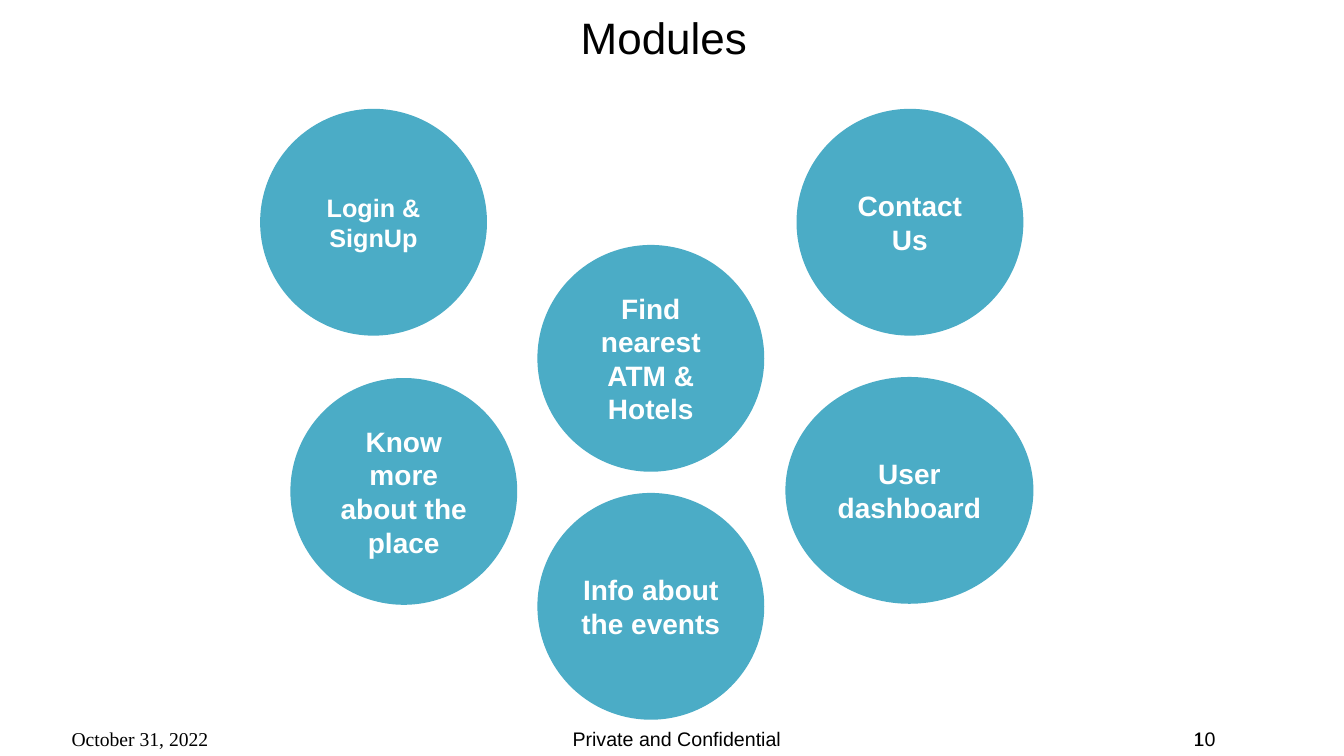
from dataclasses import dataclass

from pptx import Presentation
from pptx.dml.color import RGBColor
from pptx.enum.shapes import MSO_SHAPE
from pptx.enum.text import MSO_ANCHOR, PP_ALIGN
from pptx.slide import Slide
from pptx.text.text import TextFrame
from pptx.util import Inches, Pt

COLORS = {"module": "4BACC6", "module_text": "FFFFFF", "text": "000000"}
SANS, SERIF = "Arial", "Times New Roman"
DIAMETER = 2.25
CENTER_LEFT = 5.33
TOP_ROW = 1.08
FOOTER_TOP = 7.16
NUMBER_LEFT = 11.74


@dataclass
class Module:
    label: str
    left: float
    top: float
    width: float = DIAMETER
    size: float = 20


@dataclass
class Label:
    text: str
    left: float
    top: float
    width: float
    height: float = 0.34
    size: float = 14
    font: str = SANS
    align: PP_ALIGN = PP_ALIGN.LEFT
    anchor: MSO_ANCHOR = MSO_ANCHOR.TOP
    side_inset: float = 0.1


MODULES = [
    Module("Find nearest ATM & Hotels", CENTER_LEFT, 2.43),
    Module("Contact Us", 7.9, TOP_ROW),
    Module("User dashboard", 7.79, 3.74, width=2.46),
    Module("Know more about the place", 2.88, 3.75),
    Module("Info about the events", CENTER_LEFT, 4.89),
    Module("Login & SignUp", 2.58, TOP_ROW, size=18),
]

LABELS = [
    Label("Private and Confidential", 5.58, FOOTER_TOP, 2.72),
    Label("10", NUMBER_LEFT, FOOTER_TOP, 0.51),
    Label("10", NUMBER_LEFT, FOOTER_TOP, 0.22, height=0.32, font=SERIF),
    Label("Modules", 0.92, 0.08, 11.33, height=0.58, size=31.4,
          align=PP_ALIGN.CENTER, anchor=MSO_ANCHOR.MIDDLE),
    Label("October 31, 2022", 0.66, FOOTER_TOP, 2.23, font=SERIF, side_inset=0.05),
]


def write_text(frame: TextFrame, text: str, size: float, font: str, color: str,
               align: PP_ALIGN, anchor: MSO_ANCHOR, bold: bool = False) -> None:
    frame.text = text
    frame.word_wrap = True
    frame.vertical_anchor = anchor
    para = frame.paragraphs[0]
    para.alignment = align
    span = para.runs[0]
    span.font.name = font
    span.font.size = Pt(size)
    span.font.bold = bold
    span.font.color.rgb = RGBColor.from_string(COLORS[color])


def add_label(page: Slide, label: Label) -> None:
    box = page.shapes.add_textbox(Inches(label.left), Inches(label.top),
                                  Inches(label.width), Inches(label.height))
    frame = box.text_frame
    frame.margin_left = frame.margin_right = Inches(label.side_inset)
    write_text(frame, label.text, label.size, label.font, "text",
               label.align, label.anchor)


def add_module(page: Slide, module: Module) -> None:
    circle = page.shapes.add_shape(MSO_SHAPE.OVAL, Inches(module.left), Inches(module.top),
                                   Inches(module.width), Inches(DIAMETER))
    circle.shadow.inherit = False
    circle.fill.solid()
    circle.fill.fore_color.rgb = RGBColor.from_string(COLORS["module"])
    circle.line.fill.background()
    write_text(circle.text_frame, module.label, module.size, SANS, "module_text",
               PP_ALIGN.CENTER, MSO_ANCHOR.MIDDLE, bold=True)


def main() -> None:
    deck = Presentation()
    deck.slide_width, deck.slide_height = Inches(13.33), Inches(7.5)
    page = deck.slides.add_slide(deck.slide_layouts[6])
    for label in LABELS:
        add_label(page, label)
    for module in MODULES:
        add_module(page, module)
    deck.save("out.pptx")


if __name__ == "__main__":
    main()
